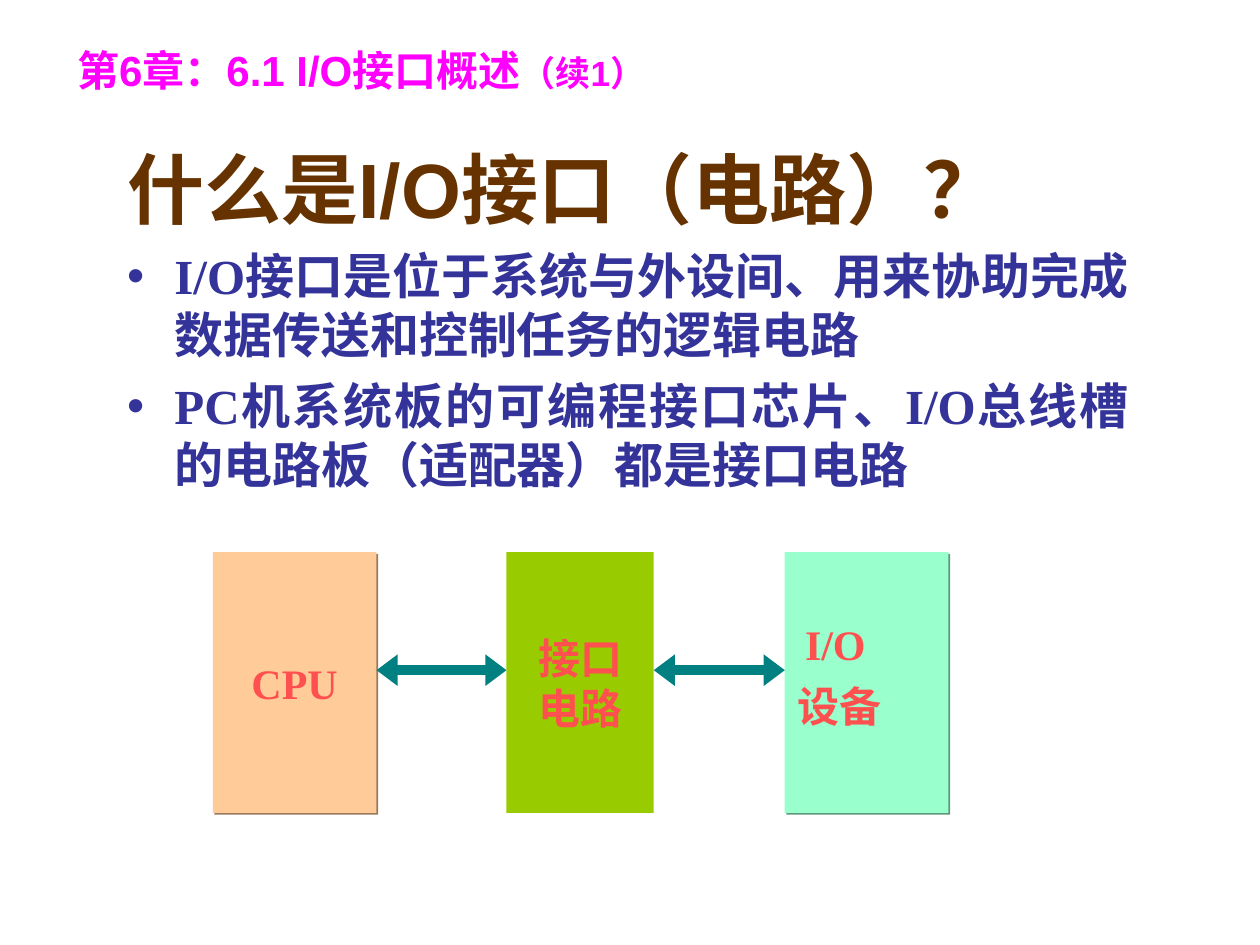
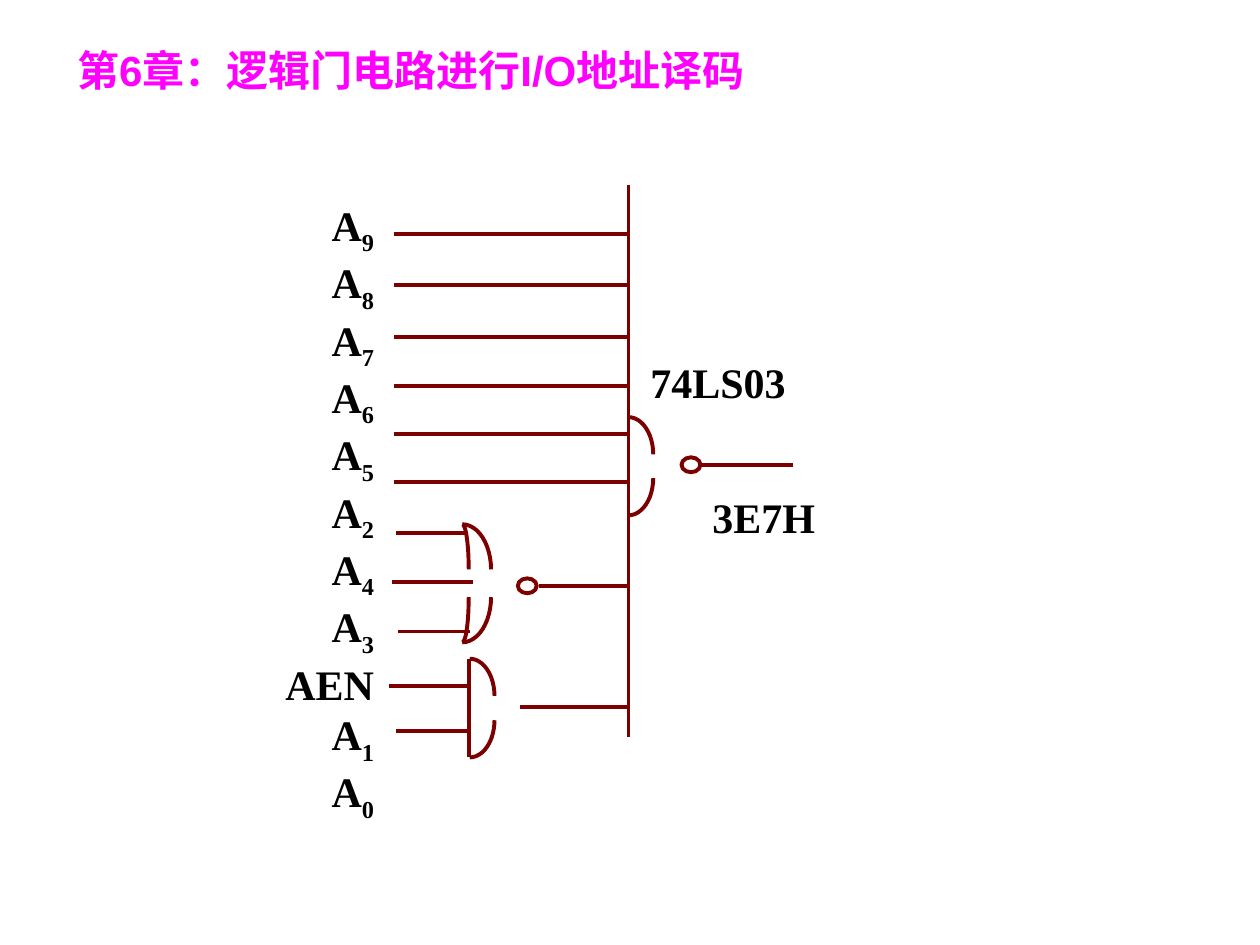
from dataclasses import dataclass
from math import cos, pi, sin

from lxml import etree
from pptx import Presentation
from pptx.dml.color import RGBColor
from pptx.enum.shapes import MSO_CONNECTOR, MSO_SHAPE
from pptx.enum.text import MSO_ANCHOR, MSO_AUTO_SIZE, PP_ALIGN
from pptx.oxml.ns import qn
from pptx.util import Cm, Pt

LEFT, MID, RIGHT, FULL = PP_ALIGN.LEFT, PP_ALIGN.CENTER, PP_ALIGN.RIGHT, PP_ALIGN.JUSTIFY
TOP, CENTRE = MSO_ANCHOR.TOP, MSO_ANCHOR.MIDDLE
FIXED = MSO_AUTO_SIZE.NONE
RECT, OVAL = MSO_SHAPE.RECTANGLE, MSO_SHAPE.OVAL
LINE = MSO_CONNECTOR.STRAIGHT


@dataclass(frozen=True)
class Theme:
    sans: str = "Arial"
    serif: str = "Times New Roman"
    title: str = "FF00FF"
    head: str = "663300"
    body: str = "333399"
    label: str = "FF5050"
    ink: str = "000000"
    wire: str = "7C0000"
    arrow: str = "008080"
    peach: str = "FFCC99"
    peach_dark: str = "997A5C"
    mint: str = "99FFCC"
    mint_dark: str = "5C997A"
    green: str = "99CC00"
    head_size: int = 44
    body_size: int = 28
    text_size: int = 24
    note_size: int = 20
    wire_width: float = 2.25
    arrow_width: float = 6


T = Theme()


def rgb(code):
    return RGBColor.from_string(code)


def place(shape, left, top, width, height):
    shape.left, shape.top = Cm(left), Cm(top)
    shape.width, shape.height = Cm(width), Cm(height)


def add_run(para, text, color, size=T.text_size, font=T.serif):
    run = para.add_run()
    run.text = text
    run.font.name = font
    run.font.size = Pt(size)
    run.font.bold = True
    run.font.color.rgb = rgb(color)
    return run


def next_para(frame, align):
    first = frame.paragraphs[0]
    para = frame.add_paragraph() if first.runs else first
    para.alignment = align
    return para


def add_title(slide, *parts):
    title = slide.shapes.title
    place(title, 1.3, 0.71, 22.86, 1.4)
    frame = title.text_frame
    frame.auto_size = FIXED
    frame.vertical_anchor = CENTRE
    para = next_para(frame, LEFT)
    for text, size in parts:
        add_run(para, text, T.title, size, T.sans)


def add_body(slide, head, points):
    body = slide.placeholders[1]
    place(body, 2.31, 2.72, 20.7, 9.86)
    frame = body.text_frame
    frame.auto_size = FIXED
    frame.vertical_anchor = TOP
    para = next_para(frame, FULL)
    etree.SubElement(para._p.get_or_add_pPr(), qn("a:buNone"))
    para.space_before = Pt(0)
    add_run(para, head, T.head, T.head_size, T.sans)
    for point in points:
        para = next_para(frame, FULL)
        para.space_before = Pt(7)
        add_run(para, point, T.body, T.body_size)


def add_text(slide, left, top, width, height, inset=0.03):
    box = slide.shapes.add_textbox(Cm(left), Cm(top), Cm(width), Cm(height))
    frame = box.text_frame
    frame.word_wrap = True
    frame.margin_left = frame.margin_right = Cm(inset)
    frame.margin_top = frame.margin_bottom = Cm(min(inset, 0.13))
    return frame


def add_shade(shape, color):
    effects = shape._element.spPr.find(qn("a:effectLst"))
    shade = etree.SubElement(
        effects, qn("a:outerShdw"), dist=str(Pt(1.4)), dir="2700000", algn="ctr", rotWithShape="0"
    )
    etree.SubElement(shade, qn("a:srgbClr"), val=color)


def add_block(slide, left, width, fill, lines=(), shade=None):
    block = slide.shapes.add_shape(RECT, Cm(left), Cm(11.13), Cm(width), Cm(5.26))
    block.fill.solid()
    block.fill.fore_color.rgb = rgb(fill)
    block.line.fill.background()
    block.shadow.inherit = False
    if shade:
        add_shade(block, shade)
    frame = block.text_frame
    frame.word_wrap = False
    frame.vertical_anchor = CENTRE
    for line in lines:
        add_run(next_para(frame, MID), line, T.label)


def add_line(slide, x1, y1, x2, y2, color=T.wire, width=T.wire_width):
    line = slide.shapes.add_connector(LINE, Cm(x1), Cm(y1), Cm(x2), Cm(y2))
    line.line.color.rgb = rgb(color)
    line.line.width = Pt(width)
    etree.SubElement(line._element.spPr, qn("a:effectLst"))
    return line


def add_arrow(slide, x1, x2, y):
    arrow = add_line(slide, x1, y, x2, y, T.arrow, T.arrow_width)
    pen = arrow.line._get_or_add_ln()
    for end in ("a:headEnd", "a:tailEnd"):
        etree.SubElement(pen, qn(end), type="triangle", w="med", len="sm")


def outline(shape):
    shape.fill.background()
    shape.line.color.rgb = rgb(T.wire)
    shape.line.width = Pt(T.wire_width)
    shape.shadow.inherit = False


def add_arc(slide, x, edge, rx, ry):
    steps = 12
    turns = [pi / 2 * step / steps for step in range(steps + 1)]
    points = [(Cm(x + rx * sin(t)), Cm(edge + ry * (1 - cos(t)))) for t in turns]
    pen = slide.shapes.build_freeform(*points[0])
    pen.add_line_segments(points[1:], close=False)
    outline(pen.convert_to_shape())


def add_curve(slide, x, top, bottom, rx, ry):
    add_arc(slide, x, top, rx, ry)
    add_arc(slide, x, bottom, rx, -ry)


def add_bubble(slide, left, top):
    outline(slide.shapes.add_shape(OVAL, Cm(left), Cm(top), Cm(0.38), Cm(0.3)))


def add_names(slide, names):
    frame = add_text(slide, 4.14, 3.99, 3.43, 11.2)
    for name, sub in names:
        para = next_para(frame, RIGHT)
        add_run(para, name, T.ink)
        if sub:
            run = add_run(para, sub, T.ink)
            run.font._element.set("baseline", "-25000")


def add_tag(slide, text, left, top):
    frame = add_text(slide, left, top, 4, 1.5)
    add_run(next_para(frame, FULL), text, T.ink)


def add_device(slide, left, width):
    frame = add_text(slide, left, 12.62, width, 2.2, 0.25)
    for text, before, indent in (("I/O", 0, 4.5), ("设备", 15, 0)):
        para = next_para(frame, LEFT)
        para.line_spacing = 0.7
        para.space_before = Pt(before)
        if indent:
            para._p.get_or_add_pPr().set("marL", str(Pt(indent)))
        add_run(para, text, T.label)


def build_intro(deck):
    slide = deck.slides.add_slide(deck.slide_layouts[1])
    add_title(slide, ("第6章：6.1 I/O接口概述", T.text_size), ("（续1）", T.note_size))
    add_body(slide, "什么是I/O接口（电路）？", (
        "I/O接口是位于系统与外设间、用来协助完成数据传送和控制任务的逻辑电路",
        "PC机系统板的可编程接口芯片、I/O总线槽的电路板（适配器）都是接口电路",
    ))
    add_block(slide, 4.29, 3.3, T.peach, ["CPU"], T.peach_dark)
    add_block(slide, 15.82, 3.3, T.mint, shade=T.mint_dark)
    add_block(slide, 10.21, 2.97, T.green, ["接口", "电路"])
    add_device(slide, 15.82, 3.3)
    add_arrow(slide, 7.59, 10.21, 13.51)
    add_arrow(slide, 13.18, 15.82, 13.51)


def build_decoder(deck):
    slide = deck.slides.add_slide(deck.slide_layouts[5])
    add_title(slide, ("第6章：逻辑门电路进行I/O地址译码", T.text_size))
    names = [("A", digit) for digit in "98765243"]
    add_names(slide, names + [("AEN", ""), ("A", "1"), ("A", "0")])

    bus = 12.67
    add_line(slide, bus, 3.73, bus, 14.86)
    for y in (4.71, 5.75, 6.8, 7.78, 8.75, 9.72):
        add_line(slide, 7.95, y, bus, y)
    for x1, x2, y in (
        (7.98, 9.4, 10.74), (7.9, 9.53, 11.73), (8.03, 9.47, 12.73),
        (7.85, 9.47, 13.82), (7.98, 9.47, 14.73),
        (10.87, bus, 11.81), (10.49, bus, 14.25), (14.15, 15.98, 9.37),
    ):
        add_line(slide, x1, y, x2, y)

    add_line(slide, 9.45, 13.28, 9.45, 15.27)
    add_curve(slide, 9.47, 13.28, 15.27, 0.5, 0.75)
    for depth in (0.58, 0.13):
        add_curve(slide, 9.32, 10.57, 12.95, depth, 0.91)
    add_curve(slide, bus, 8.41, 10.39, 0.5, 0.75)
    add_bubble(slide, 10.44, 11.66)
    add_bubble(slide, 13.74, 9.22)
    add_tag(slide, "74LS03", 13.08, 7.16)
    add_tag(slide, "3E7H", 14.33, 9.88)


def main():
    deck = Presentation()
    deck.slide_width, deck.slide_height = Cm(25.4), Cm(19.05)
    build_intro(deck)
    build_decoder(deck)
    deck.save("out.pptx")


if __name__ == "__main__":
    main()
